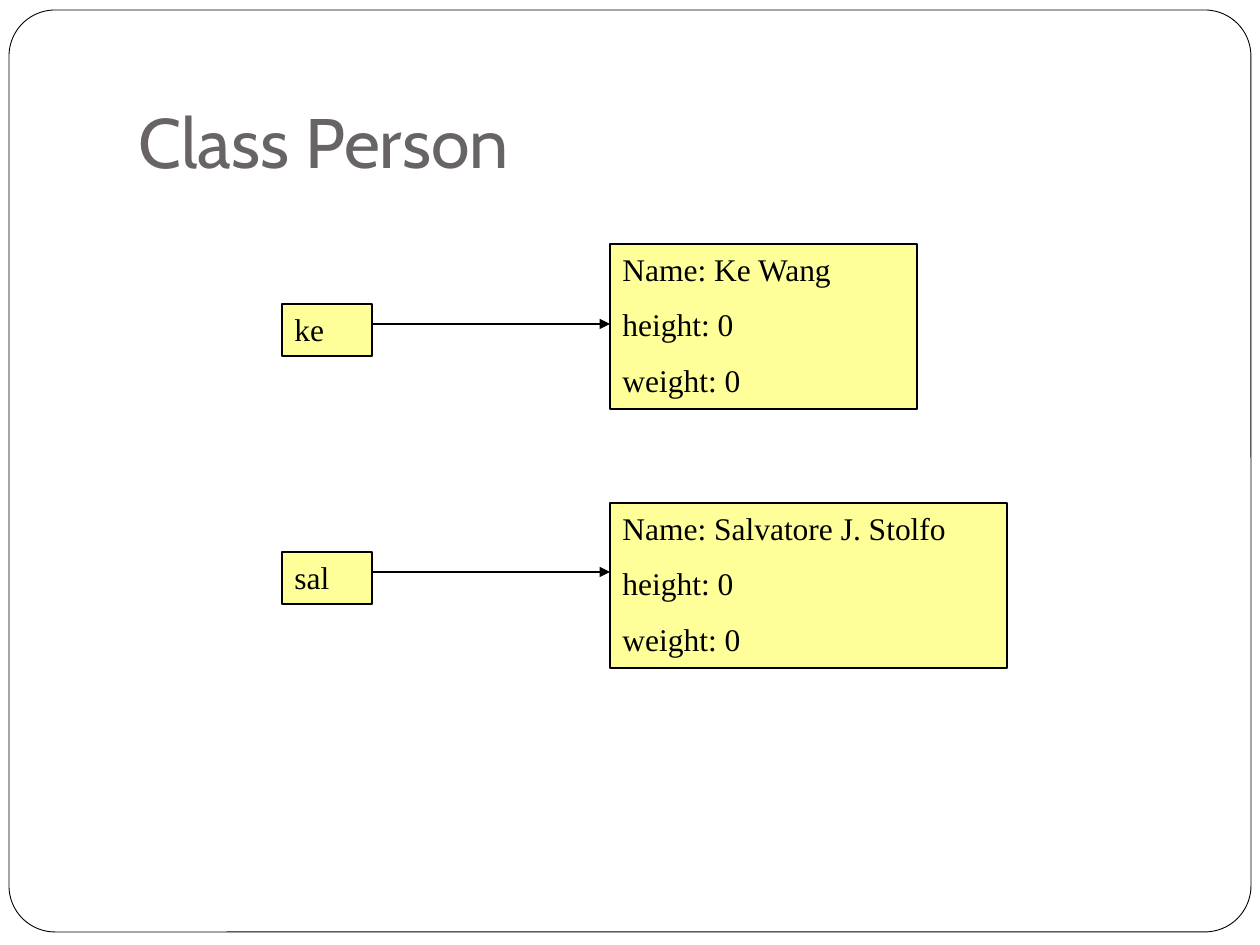
from pptx import Presentation
from pptx.dml.color import RGBColor
from pptx.enum.shapes import MSO_CONNECTOR, MSO_SHAPE
from pptx.enum.text import MSO_ANCHOR, PP_ALIGN
from pptx.oxml.ns import qn
from pptx.util import Emu, Pt
from lxml import etree

RECTANGLE, ROUNDED = MSO_SHAPE.RECTANGLE, MSO_SHAPE.ROUNDED_RECTANGLE
STRAIGHT = MSO_CONNECTOR.STRAIGHT
TOP, BOTTOM, LEFT = MSO_ANCHOR.TOP, MSO_ANCHOR.BOTTOM, PP_ALIGN.LEFT
BLACK = RGBColor(0x00, 0x00, 0x00)
WHITE = RGBColor(0xFF, 0xFF, 0xFF)
YELLOW = RGBColor(0xFF, 0xFF, 0x99)
GREY = RGBColor(0x69, 0x64, 0x64)
PX_PER_INCH = 126
VARIABLE_WIDTH, VARIABLE_HEIGHT = 90, 52
OBJECT_LEFT, OBJECT_HEIGHT = 328, 165
ARROW_DROP = 20


def px(length):
    return Emu(round(length * 914400 / PX_PER_INCH))


def add_panel(page, kind, box, fill, line_width):
    panel = page.shapes.add_shape(kind, *map(px, box))
    panel.shadow.inherit = False
    panel.fill.solid()
    panel.fill.fore_color.rgb = fill
    panel.line.color.rgb = BLACK
    panel.line.width = Pt(line_width)
    return panel


def write_lines(frame, lines, font, size, color):
    for index, line in enumerate(lines):
        para = frame.paragraphs[0] if index == 0 else frame.add_paragraph()
        para.alignment = LEFT
        if index:
            para.space_before = Pt(10)
        span = para.add_run()
        span.text = line
        span.font.name = font
        span.font.size = Pt(size)
        span.font.color.rgb = color


def add_title(page, box, text):
    title = page.shapes.add_textbox(*map(px, box))
    frame = title.text_frame
    frame.word_wrap = True
    frame.vertical_anchor = BOTTOM
    frame.margin_bottom = Pt(7.2)
    write_lines(frame, [text], "Cabin", 40, GREY)


def add_record(page, box, lines):
    record = add_panel(page, RECTANGLE, box, YELLOW, 0.75)
    frame = record.text_frame
    frame.word_wrap = True
    frame.vertical_anchor = TOP
    write_lines(frame, lines, "Times New Roman", 18, BLACK)


def add_arrow(page, start_x, end_x, y):
    arrow = page.shapes.add_connector(STRAIGHT, px(start_x), px(y), px(end_x), px(y))
    arrow.line.color.rgb = BLACK
    arrow.line.width = Pt(0.75)
    line = arrow.line._get_or_add_ln()
    etree.SubElement(line, qn("a:tailEnd"), type="triangle")
    etree.SubElement(arrow._element.spPr, qn("a:effectLst"))


def add_reference(page, left, top, variable, person, object_top, object_width):
    """Draw a variable pointing to its object; object_top is relative to top."""
    object_left = left + OBJECT_LEFT
    add_record(page, (object_left, top + object_top, object_width, OBJECT_HEIGHT),
               [f"Name: {person}", "height: 0", "weight: 0"])
    add_record(page, (left, top, VARIABLE_WIDTH, VARIABLE_HEIGHT), [variable])
    add_arrow(page, left + VARIABLE_WIDTH, object_left, top + ARROW_DROP)


def main():
    deck = Presentation()
    deck.slide_width, deck.slide_height = px(1260), px(945)
    page = deck.slides.add_slide(deck.slide_layouts[6])
    border = add_panel(page, ROUNDED, (9, 10, 1242, 922), WHITE, 0.5)
    border.adjustments[0] = 0.05
    add_title(page, (126, 38, 1071, 157), "Class Person")
    add_reference(page, 282, 304, "ke", "Ke Wang", -60, 307)
    add_reference(page, 282, 552, "sal", "Salvatore J. Stolfo", -49, 397)
    deck.save("out.pptx")


if __name__ == "__main__":
    main()
